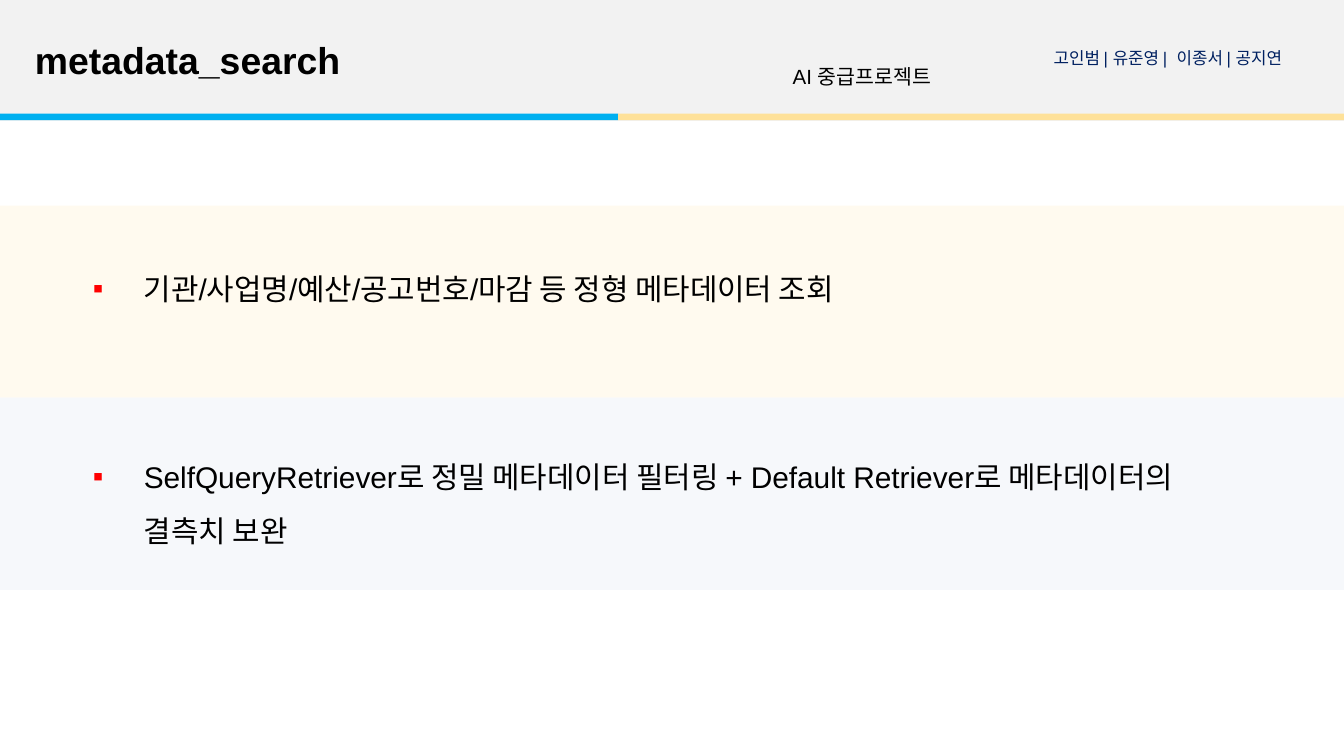
from lxml import etree
from pptx import Presentation, util as u
from pptx.dml.color import RGBColor
from pptx.enum import shapes, text
from pptx.oxml.ns import qn

deck = Presentation()
deck.slide_width = u.Inches(10)
deck.slide_height = deck.slide_width * 9 // 16
cell = deck.slide_width // 100  # square grid, 100 columns wide
page = deck.slides.add_slide(deck.slide_layouts.get_by_name("Two Content"))
title, *lists = page.placeholders


def paint(color, value):
    color.rgb = RGBColor.from_string(value)


def write(box, place, words, size, color="000000", bold=False, inset=0.1,
          align=text.PP_ALIGN.LEFT):
    """Place a text box in grid cells, bring it to the front and fill it."""
    box.left, box.top, box.width, box.height = [int(n * cell) for n in place]
    page.shapes.element.append(box.element)
    frame = box.text_frame
    frame.text = words
    layout = {"word_wrap": True, "auto_size": text.MSO_AUTO_SIZE.SHAPE_TO_FIT_TEXT,
              "vertical_anchor": text.MSO_ANCHOR.TOP,
              "margin_left": u.Inches(0.1), "margin_right": u.Inches(0.1),
              "margin_top": u.Inches(inset), "margin_bottom": u.Inches(inset)}
    for name, value in layout.items():
        setattr(frame, name, value)
    para = frame.paragraphs[0]
    para.alignment = align
    span = para.runs[0]
    for name, value in {"name": "Arial", "size": u.Pt(size), "bold": bold}.items():
        setattr(span.font, name, value)
    paint(span.font.color, color)
    return para


# Header, two-colour rule and content bands: left, top, width, height, fill
band_top, band_height = 15.3, 14.3
rule_top, rule_height, split = 8.45, 0.5, 46
for *place, fill in [
    (0, 0, 100, 9, "F2F2F2"),
    (0, rule_top, split, rule_height, "00B0F0"),
    (split, rule_top, 100 - split, rule_height, "FEE199"),
    (0, band_top, 100, band_height, "FFFAEF"),
    (0, band_top + band_height, 100, band_height, "F6F8FB"),
]:
    bar = page.shapes.add_shape(shapes.MSO_SHAPE.RECTANGLE,
                                *[int(n * cell) for n in place])
    bar.shadow.inherit = False
    bar.fill.solid()
    paint(bar.fill.fore_color, fill)
    bar.line.fill.background()

write(title, (1.6, 2.3, 54, 4.4), "metadata_search", 20, bold=True, inset=0.05)
write(page.shapes.add_textbox(0, 0, cell, cell), (74.1, 2.8, 25.6, 3.5),
      "고인범 | 유준영 |  이종서 | 공지연", 9, "002060", align=text.PP_ALIGN.CENTER)
write(page.shapes.add_textbox(0, 0, cell, cell), (58, 4.3, 13.2, 2.9),
      "AI 중급프로젝트", 11, inset=0.05)

points = [
    ((4.7, 17.8, 92.4, 6.1), "기관/사업명/예산/공고번호/마감 등 정형 메타데이터 조회"),
    ((4.7, 31.8, 87.6, 10.1), "SelfQueryRetriever로 정밀 메타데이터 필터링 + "
                              "Default Retriever로 메타데이터의 결측치 보완"),
]
for box, (place, words) in zip(lists, points):
    para = write(box, place, words, 16)
    props = para._p.get_or_add_pPr()
    props.set("marL", str(u.Inches(0.5)))
    props.set("indent", str(u.Inches(-0.38)))
    bullet_color = etree.SubElement(props, qn("a:buClr"))
    etree.SubElement(bullet_color, qn("a:srgbClr"), val="FF0000")
    etree.SubElement(props, qn("a:buFont"), typeface="Arial")
    etree.SubElement(props, qn("a:buChar"), char="▪")
    para.line_spacing = 1.5
    para.space_before = u.Pt(0)

deck.save("out.pptx")
